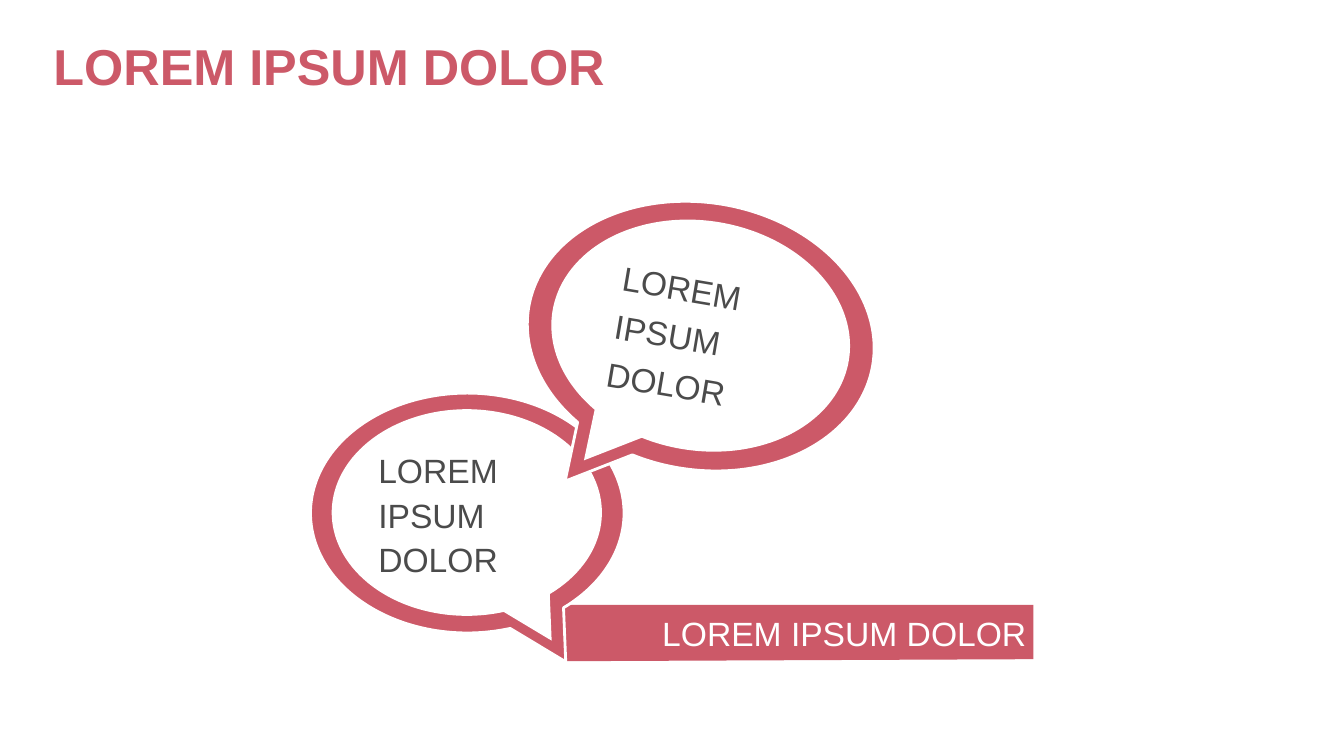
from dataclasses import dataclass

from pptx import Presentation
from pptx.dml.color import RGBColor
from pptx.enum.shapes import MSO_SHAPE
from pptx.enum.text import MSO_ANCHOR, MSO_AUTO_SIZE, PP_ALIGN
from pptx.shapes.autoshape import Shape
from pptx.shapes.shapetree import GroupShapes
from pptx.slide import Slide
from pptx.text.text import TextFrame
from pptx.util import Pt

PX = 9144  # EMU per px, 100 px to the inch
CALLOUT = MSO_SHAPE.OVAL_CALLOUT
MIDDLE, BOTTOM = MSO_ANCHOR.MIDDLE, MSO_ANCHOR.BOTTOM
LEFT, RIGHT = PP_ALIGN.LEFT, PP_ALIGN.RIGHT
NO_FIT = MSO_AUTO_SIZE.NONE
COLORS = {"rose": "CC5968", "white": "FFFFFF", "text": "4B4B4B"}
PHRASE = "LOREM IPSUM DOLOR"
TAIL_X, TAIL_Y = 0.314, 0.62
BANNER_POINTS = [(1025, 654), (562, 656), (543, 600), (1025, 600)]


@dataclass(frozen=True)
class Box:
    left: int
    top: int
    width: int
    height: int


@dataclass(frozen=True)
class Bubble:
    rim: Box
    inside: Box
    tail_side: int  # 1 points right, -1 points left
    rotation: float
    insets: tuple[int, int]
    line_spacing: float


BUBBLES = [
    Bubble(Box(308, 390, 311, 238), Box(329, 406, 268, 205), 1, 0, (7, 7), 1.1),
    Bubble(Box(522, 201, 346, 265), Box(546, 219, 298, 228), -1, 9.6, (20, 0), 1.2),
]


def color(name: str) -> RGBColor:
    return RGBColor.from_string(COLORS[name])


def paint(shape: Shape, fill: str) -> None:
    shape.shadow.inherit = False
    shape.fill.solid()
    shape.fill.fore_color.rgb = color(fill)
    shape.line.fill.background()


def write_phrase(frame: TextFrame, size: int, ink: str, align: PP_ALIGN,
                 anchor: MSO_ANCHOR, spacing: float = 1.0, bold: bool = False) -> None:
    frame.text = PHRASE
    frame.word_wrap = True
    frame.auto_size = NO_FIT
    frame.vertical_anchor = anchor
    paragraph = frame.paragraphs[0]
    paragraph.alignment = align
    paragraph.line_spacing = spacing
    font = paragraph.font
    font.name, font.size, font.bold = "Arial", Pt(size), bold
    font.color.rgb = color(ink)


def set_insets(frame: TextFrame, left: int, right: int) -> None:
    frame.margin_left, frame.margin_right = left * PX, right * PX
    frame.margin_top = frame.margin_bottom = 4 * PX


def add_callout(shapes: GroupShapes, box: Box, bubble: Bubble, fill: str) -> Shape:
    callout = shapes.add_shape(CALLOUT, box.left * PX, box.top * PX,
                               box.width * PX, box.height * PX)
    callout.adjustments[0] = bubble.tail_side * TAIL_X
    callout.adjustments[1] = TAIL_Y
    callout.rotation = bubble.rotation
    paint(callout, fill)
    return callout


def add_bubble(page: Slide, bubble: Bubble) -> None:
    group = page.shapes.add_group_shape()
    rim = add_callout(group.shapes, bubble.rim, bubble, "rose")
    rim.line.color.rgb = color("white")
    rim.line.width = Pt(2)
    inside = add_callout(group.shapes, bubble.inside, bubble, "white")
    write_phrase(inside.text_frame, 24, "text", LEFT, MIDDLE, bubble.line_spacing)
    set_insets(inside.text_frame, *bubble.insets)


def add_banner(page: Slide) -> None:
    start, *corners = BANNER_POINTS
    builder = page.shapes.build_freeform(*start, scale=PX)
    builder.add_line_segments(corners, close=True)
    banner = builder.convert_to_shape()
    paint(banner, "rose")
    write_phrase(banner.text_frame, 24, "white", RIGHT, MIDDLE)
    set_insets(banner.text_frame, 7, 7)


def add_title(page: Slide) -> None:
    title = page.shapes.title
    title.left, title.top = 43 * PX, 28 * PX
    title.width, title.height = 844 * PX, 73 * PX
    write_phrase(title.text_frame, 36, "rose", LEFT, BOTTOM, 0.9, bold=True)


def main() -> None:
    deck = Presentation()
    deck.slide_width, deck.slide_height = 1333 * PX, 750 * PX
    page = deck.slides.add_slide(deck.slide_layouts[5])
    add_title(page)
    add_banner(page)
    for bubble in BUBBLES:
        add_bubble(page, bubble)
    deck.save("out.pptx")


if __name__ == "__main__":
    main()
